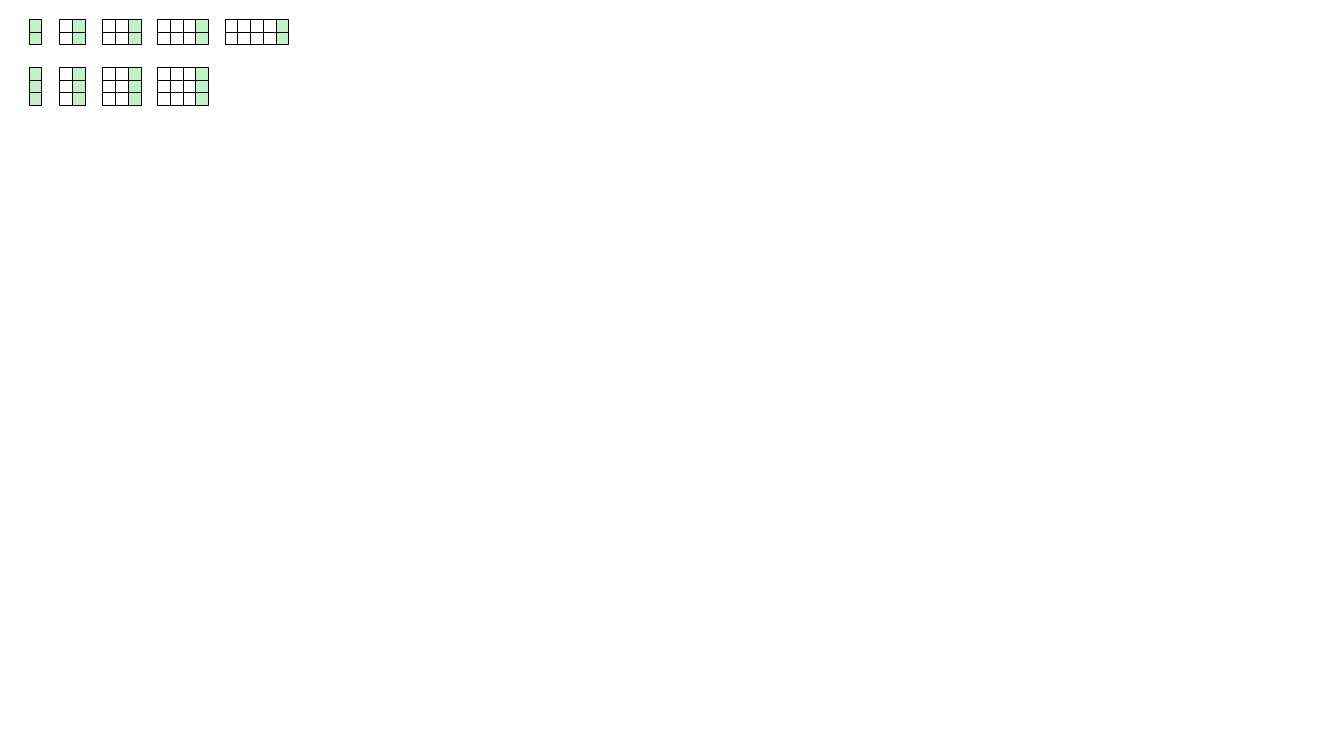
from dataclasses import dataclass

from lxml.etree import SubElement
from pptx import Presentation
from pptx.dml.color import RGBColor
from pptx.enum.shapes import MSO_CONNECTOR, MSO_SHAPE
from pptx.oxml.ns import qn
from pptx.util import Pt


@dataclass(frozen=True)
class Theme:
    ink: RGBColor = RGBColor(0x00, 0x00, 0x00)
    plain: RGBColor = RGBColor(0xFF, 0xFF, 0xFF)
    highlight: RGBColor = RGBColor(0xC2, 0xF1, 0xC8)
    line_width: float = 0.5
    cell: float = 9.1


class GridPage:
    def __init__(self, page, theme):
        self.page = page
        self.theme = theme

    def outline(self, line):
        line.color.rgb = self.theme.ink
        line.width = Pt(self.theme.line_width)

    def box(self, left, top, width, height, color):
        box = self.page.shapes.add_shape(
            MSO_SHAPE.RECTANGLE, Pt(left), Pt(top), Pt(width), Pt(height))
        box.shadow.inherit = False
        box.fill.solid()
        box.fill.fore_color.rgb = color
        self.outline(box.line)

    def divider(self, left, right, height):
        divider = self.page.shapes.add_connector(
            MSO_CONNECTOR.STRAIGHT, Pt(left), Pt(height), Pt(right), Pt(height))
        self.outline(divider.line)
        SubElement(divider._element.spPr, qn("a:effectLst"))

    def column(self, left, top, rows, color):
        cell = self.theme.cell
        self.box(left, top, cell, rows * cell, color)
        for row in range(1, rows):
            self.divider(left, left + cell, top + row * cell)

    def grid(self, left, top, rows, columns):
        """Draw a grid whose last column is highlighted."""
        for column in range(columns):
            is_last = column == columns - 1
            color = self.theme.highlight if is_last else self.theme.plain
            self.column(left + column * self.theme.cell, top, rows, color)


# Left edges of the grids with one, two, ... columns
GRID_LEFTS = [20.7, 42.6, 73.4, 112.5, 160.7]
# Top edge, number of rows in each grid, number of grids
BANDS = [(13.7, 2, 5), (48.1, 3, 4)]


def main():
    deck = Presentation()
    deck.slide_width, deck.slide_height = Pt(960), Pt(540)
    blank_layout = deck.slide_layouts[6]
    grid_page = GridPage(deck.slides.add_slide(blank_layout), Theme())

    # Each band of grids grows by one column from left to right
    for top, rows, count in BANDS:
        for columns, left in enumerate(GRID_LEFTS[:count], start=1):
            grid_page.grid(left, top, rows, columns)

    deck.save("out.pptx")


if __name__ == "__main__":
    main()
